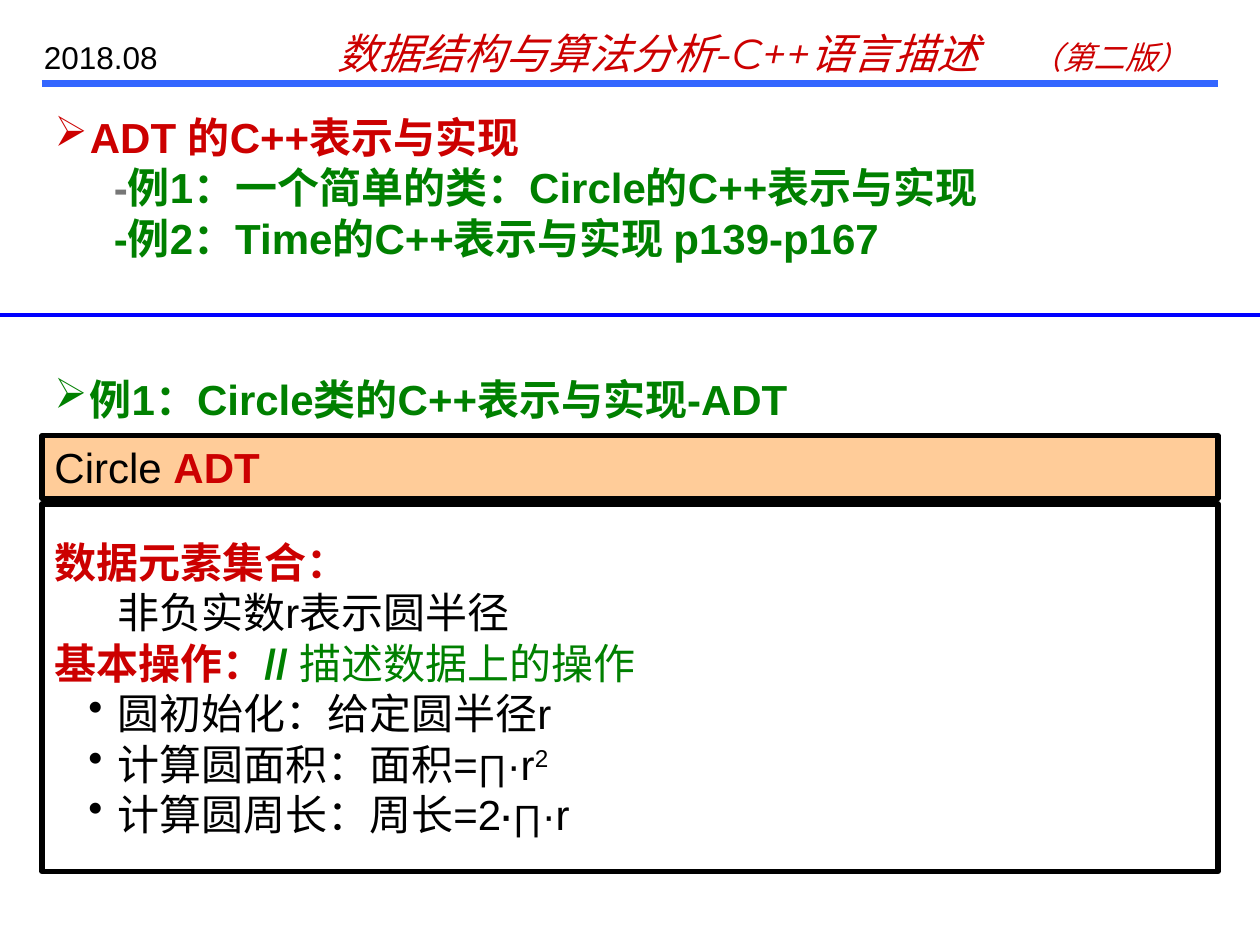
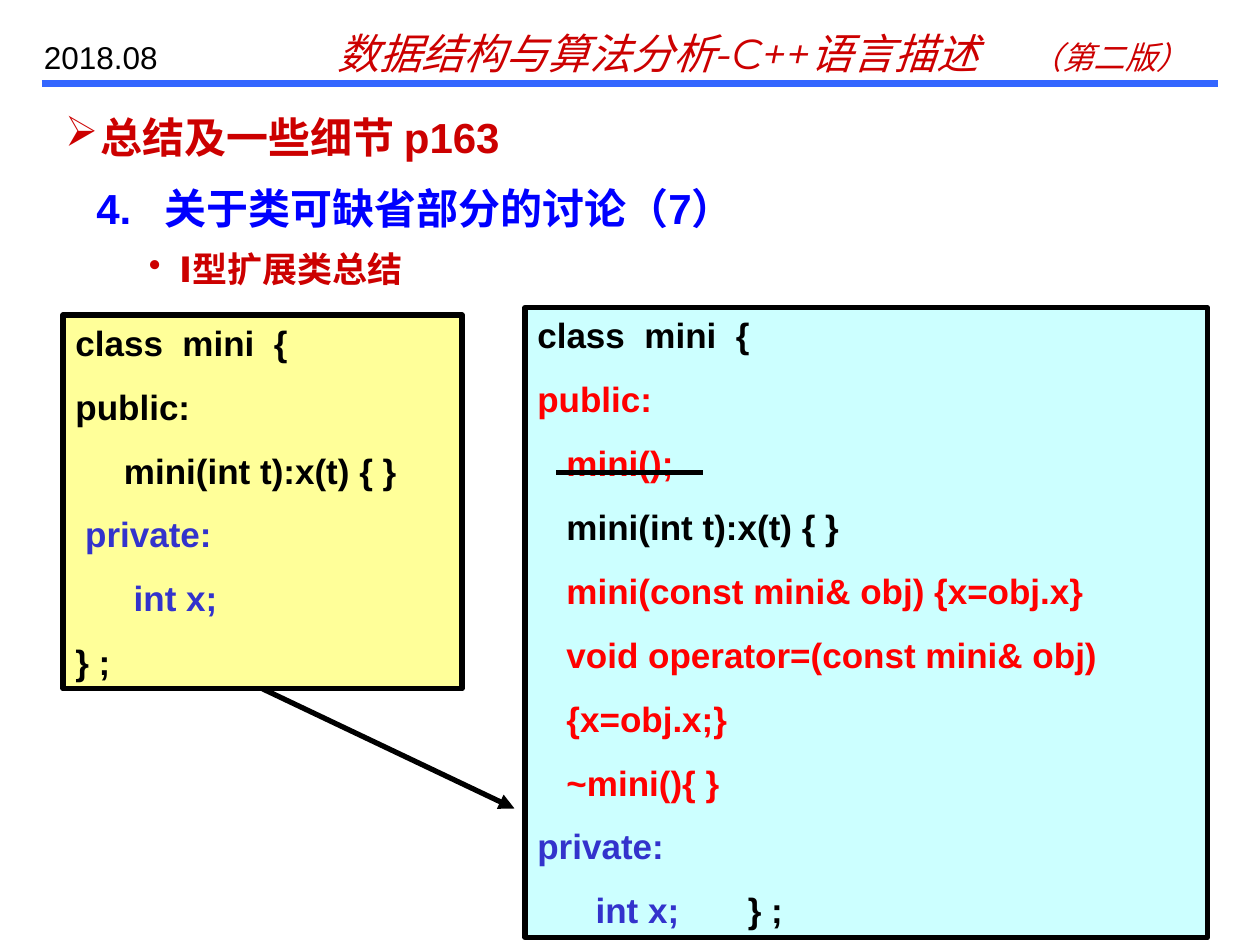
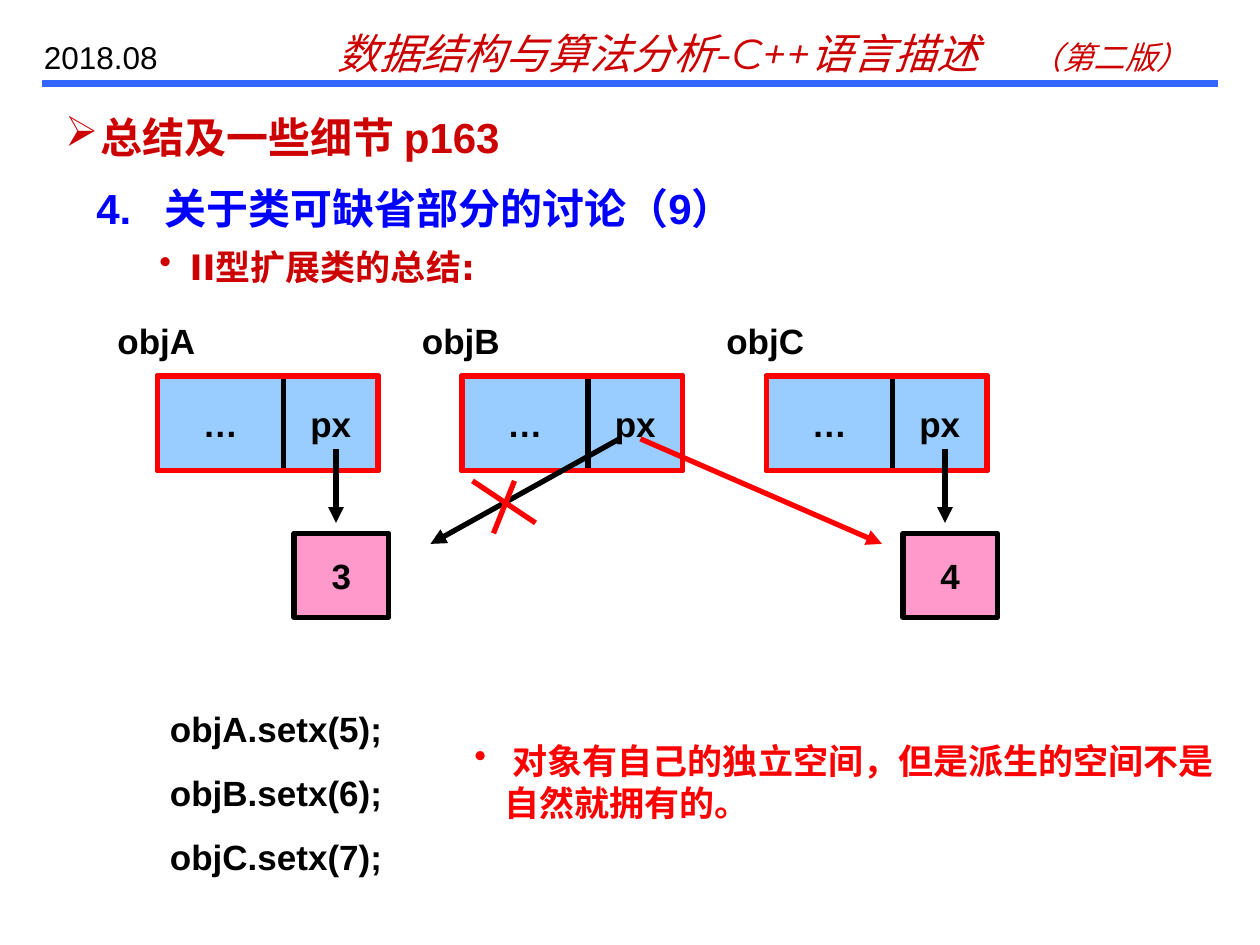
from dataclasses import dataclass

from lxml.etree import SubElement
from pptx import Presentation
from pptx.dml.color import RGBColor
from pptx.enum.shapes import MSO_CONNECTOR, MSO_SHAPE
from pptx.enum.text import MSO_ANCHOR, MSO_AUTO_SIZE, PP_ALIGN
from pptx.oxml.ns import qn
from pptx.util import Inches, Pt

COLUMNS, ROWS = 120, 90
WIDTH, HEIGHT = Inches(10), Inches(7.5)
BOTTOM = 2


@dataclass(frozen=True)
class Theme:
    black: str = "000000"
    crimson: str = "CC0000"
    red: str = "FF0000"
    green: str = "008000"
    gray: str = "777777"
    blue: str = "0000FF"
    indigo: str = "3333CC"
    band: str = "3366FF"
    peach: str = "FFCC99"
    yellow: str = "FFFF99"
    cyan: str = "CCFFFF"
    sky: str = "99CCFF"
    pink: str = "FF99CC"
    body_font: str = "Arial"
    header_font: str = "Montserrat"
    bullet_font: str = "DejaVu Sans"
    large: float = 24
    medium: float = 20
    small: float = 18
    border: float = 3
    code_gap: float = 12.5
    large_hang: float = 0.28
    medium_hang: float = 0.24
    number_hang: float = 0.54


THEME = Theme()
FORMAT = dict(size=THEME.large, color=THEME.black, font=THEME.body_font, bold=False,
              italic=False, raised=0, align=PP_ALIGN.LEFT, before=0, bullet=None,
              left=0, hang=0, tab=None)


def line(*spans, **style):
    return spans, style


def write(frame, lines, **shared):
    for index, (spans, own) in enumerate(lines):
        para = frame.add_paragraph() if index else frame.paragraphs[0]
        style = {**FORMAT, **shared, **own}
        properties = para._p.get_or_add_pPr()
        properties.set("marL", str(Inches(style["left"])))
        properties.set("indent", str(-Inches(style["hang"])))
        if style["bullet"]:
            color = SubElement(properties, qn("a:buClr"))
            SubElement(color, qn("a:srgbClr"), val=style["color"])
            SubElement(properties, qn("a:buChar"), char=style["bullet"])
        if style["tab"]:
            stops = SubElement(properties, qn("a:tabLst"))
            SubElement(stops, qn("a:tab"), pos=str(Inches(style["tab"])), algn="l")
        para.alignment = style["align"]
        para.space_before = Pt(style["before"] if index else 0)
        for item in spans:
            text, change = (item, {}) if isinstance(item, str) else item
            look = {**style, **change}
            span = para.add_run()
            span.text = text
            span.font.name = look["font"]
            span.font.size = Pt(look["size"])
            span.font.bold = look["bold"]
            span.font.italic = look["italic"]
            span.font.color.rgb = RGBColor.from_string(look["color"])
            if look["raised"]:
                span._r.get_or_add_rPr().set("baseline", str(look["raised"] * 1000))


class Page:
    def __init__(self, deck, theme):
        self.deck = deck
        self.theme = theme
        self.layout = deck.slide_layouts.get_by_name("Title Only")
        self.slide = None

    def place(self, left, top, width, height):
        return (round(left * WIDTH / COLUMNS), round(top * HEIGHT / ROWS),
                round(width * WIDTH / COLUMNS), round(height * HEIGHT / ROWS))

    def new(self):
        self.slide = self.deck.slides.add_slide(self.layout)

    def share_header(self):
        theme = self.theme
        for holder in list(self.layout.placeholders)[1:]:
            holder.element.getparent().remove(holder.element)
        parts = [
            self.connect((4, 8), (116, 8), theme.band, 4),
            self.text((31, 2, 84, 6), [line("数据结构与算法分析-C++语言描述\t",
                                            ("（第二版）", dict(size=theme.small)))],
                      font=theme.header_font, color=theme.crimson, italic=True, tab=5.44),
            self.text((3, 3, 17, 4.8), [line("2018.08")], size=theme.small),
        ]
        for part in parts:
            self.layout.shapes.element.append(part.element)

    def fill_text(self, box, lines, anchor=MSO_ANCHOR.TOP, **style):
        frame = box.text_frame
        frame.word_wrap = True
        frame.auto_size = MSO_AUTO_SIZE.NONE
        frame.vertical_anchor = anchor
        write(frame, lines, **style)

    def title(self, area, lines, **style):
        box = self.slide.shapes.title
        box.left, box.top, box.width, box.height = self.place(*area)
        self.fill_text(box, lines, color=self.theme.crimson, bold=True, **style)

    def text(self, area, lines, **style):
        box = self.slide.shapes.add_textbox(*self.place(*area))
        self.fill_text(box, lines, **style)
        return box

    def box(self, area, fill=None, border=None, lines=(), **style):
        box = self.slide.shapes.add_shape(MSO_SHAPE.RECTANGLE, *self.place(*area))
        box.shadow.inherit = False
        if fill:
            box.fill.solid()
            box.fill.fore_color.rgb = RGBColor.from_string(fill)
        else:
            box.fill.background()
        box.line.color.rgb = RGBColor.from_string(border or self.theme.black)
        box.line.width = Pt(self.theme.border)
        if lines:
            self.fill_text(box, lines, **style)
        return box

    def cell(self, area, fill, text):
        self.box(area, fill, lines=[line(text)], anchor=MSO_ANCHOR.MIDDLE,
                 align=PP_ALIGN.CENTER, size=self.theme.medium, bold=True)

    def connect(self, start, end, color=None, width=None, arrow=False):
        points = self.place(*start, *end)
        connector = self.slide.shapes.add_connector(MSO_CONNECTOR.STRAIGHT, *points)
        connector.line.color.rgb = RGBColor.from_string(color or self.theme.black)
        connector.line.width = Pt(width or self.theme.border)
        if arrow:
            SubElement(connector.line._get_or_add_ln(), qn("a:tailEnd"), type="triangle")
        SubElement(connector.element.spPr, qn("a:effectLst"))
        return connector

    def bullet(self, area, text, **style):
        look = dict(color=self.theme.crimson, size=self.theme.medium, bold=True, bullet="•",
                    left=self.theme.medium_hang, hang=self.theme.medium_hang)
        self.text(area, [line(text)], **{**look, **style})

    def summary(self, number, point, area):
        theme = self.theme
        self.title((5, 10, 112, 6), [line("总结及一些细节 p163")], bullet="➢",
                   left=theme.large_hang, hang=theme.large_hang)
        self.text((8, 16.8, 110, 6), [line(f"4.\t关于类可缺省部分的讨论（{number}）")],
                  color=theme.blue, bold=True, left=theme.number_hang, hang=theme.number_hang)
        self.bullet(area, point, font=theme.bullet_font)


def circle_slide(page):
    theme = page.theme
    page.new()
    page.share_header()
    arrow = dict(bullet="➢", left=theme.large_hang, hang=theme.large_hang)
    example = dict(left=0.47, color=theme.green)
    page.title((4, 10, 112, 16), [
        line("ADT 的C++表示与实现", **arrow),
        line(("-", dict(color=theme.gray)), "例1：一个简单的类：Circle的C++表示与实现", **example),
        line("-例2：Time的C++表示与实现 p139-p167", **example),
    ])
    page.box((4, 41.5, 112, 6), theme.peach,
             lines=[line("Circle ", ("ADT", dict(color=theme.crimson, bold=True)))])
    heading = dict(color=theme.crimson, bold=True)
    item = dict(bullet="•", left=0.5, hang=0.23)
    smaller = dict(size=theme.medium)
    page.box((4, 48, 112, 35), anchor=MSO_ANCHOR.MIDDLE, lines=[
        line("数据元素集合：", **heading),
        line("非负实数r表示圆半径", left=0.5),
        line(("基本操作：", heading), ("// ", dict(bold=True)), "描述数据上的操作",
             color=theme.green),
        line("圆初始化：给定圆半径r", **item),
        line("计算圆面积：面积=", ("∏", smaller), "·r", ("2", dict(raised=30)), **item),
        line("计算圆周长：周长=2", ("·", dict(smaller, bold=True)), ("∏", smaller), "·r", **item),
    ])
    page.text((4, 35, 102, 6), [line("例1：Circle类的C++表示与实现-ADT", **arrow)],
              color=theme.green, bold=True)
    page.connect((0, 30), (COLUMNS, 30), theme.blue, 2)


def extension_slide(page):
    theme = page.theme
    page.new()
    page.summary(7, "I型扩展类总结", (13, 23, 105, 5.3))
    code = dict(size=theme.medium, bold=True, before=theme.code_gap)
    private = dict(color=theme.indigo)
    added = dict(color=theme.red)
    source = page.box((6, 30, 38, 35.6), theme.yellow, lines=[
        line("class  mini  {"),
        line("public:"),
        line("     mini(int t):x(t) { }"),
        line(" private:", **private),
        line("      int x;", **private),
        line("} ;"),
    ], **code)
    page.box((50, 29.3, 65, 60), theme.cyan, lines=[
        line("class  mini  {"),
        line("public:", **added),
        line("   mini();", **added),
        line("   mini(int t):x(t) { }"),
        line("   mini(const mini& obj) {x=obj.x}", **added),
        line("   void operator=(const mini& obj)", **added),
        line("   {x=obj.x;}", **added),
        line("   ~mini(){ }", **added),
        line("private:", **private),
        line(("      int x;       ", private), "} ;"),
    ], **code)
    page.connect((53, 45), (67, 45))
    expansion = page.connect((25, 66), (49, 77), arrow=True)
    expansion.begin_connect(source, BOTTOM)


def pointer_slide(page):
    theme = page.theme
    page.new()
    page.summary(9, "II型扩展类的总结:", (14, 22.8, 105, 5.3))
    code = dict(size=theme.medium, bold=True, before=theme.code_gap)
    names = ["objA", "objB", "objC"]
    values = {"objA": "3", "objC": "4"}
    for index, name in enumerate(names):
        left = 15 + 29 * index
        page.cell((left, 35.8, 12, 9), theme.sky, "…")
        page.cell((left + 12, 35.8, 9, 9), theme.sky, "px")
        page.text((left - 5, 29.8, 16, 5.3), [line(name)], **code)
        page.box((left, 35.8, 21, 9), border=theme.red)
        if name in values:
            page.connect((left + 17, 42.8), (left + 17, 49.8), arrow=True)
            page.cell((left + 13, 50.8, 9, 8), theme.pink, values[name])
    page.connect((59, 41.8), (41, 51.8), arrow=True)
    page.connect((61, 41.8), (84, 51.8), theme.red, arrow=True)
    page.connect((45, 45.8), (51, 49.8), theme.red)
    page.connect((49, 45.8), (47, 50.8), theme.red)
    page.text((15, 66.8, 39, 17.4),
              [line(f"{name}.setx({value});") for value, name in enumerate(names, 5)], **code)
    page.bullet((44, 69.8, 74, 9.2), " 对象有自己的独立空间，但是派生的空间不是自然就拥有的。",
                color=theme.red)


def main():
    deck = Presentation()
    deck.slide_width, deck.slide_height = WIDTH, HEIGHT
    page = Page(deck, THEME)
    for build in (circle_slide, extension_slide, pointer_slide):
        build(page)
    deck.save("out.pptx")


if __name__ == "__main__":
    main()
